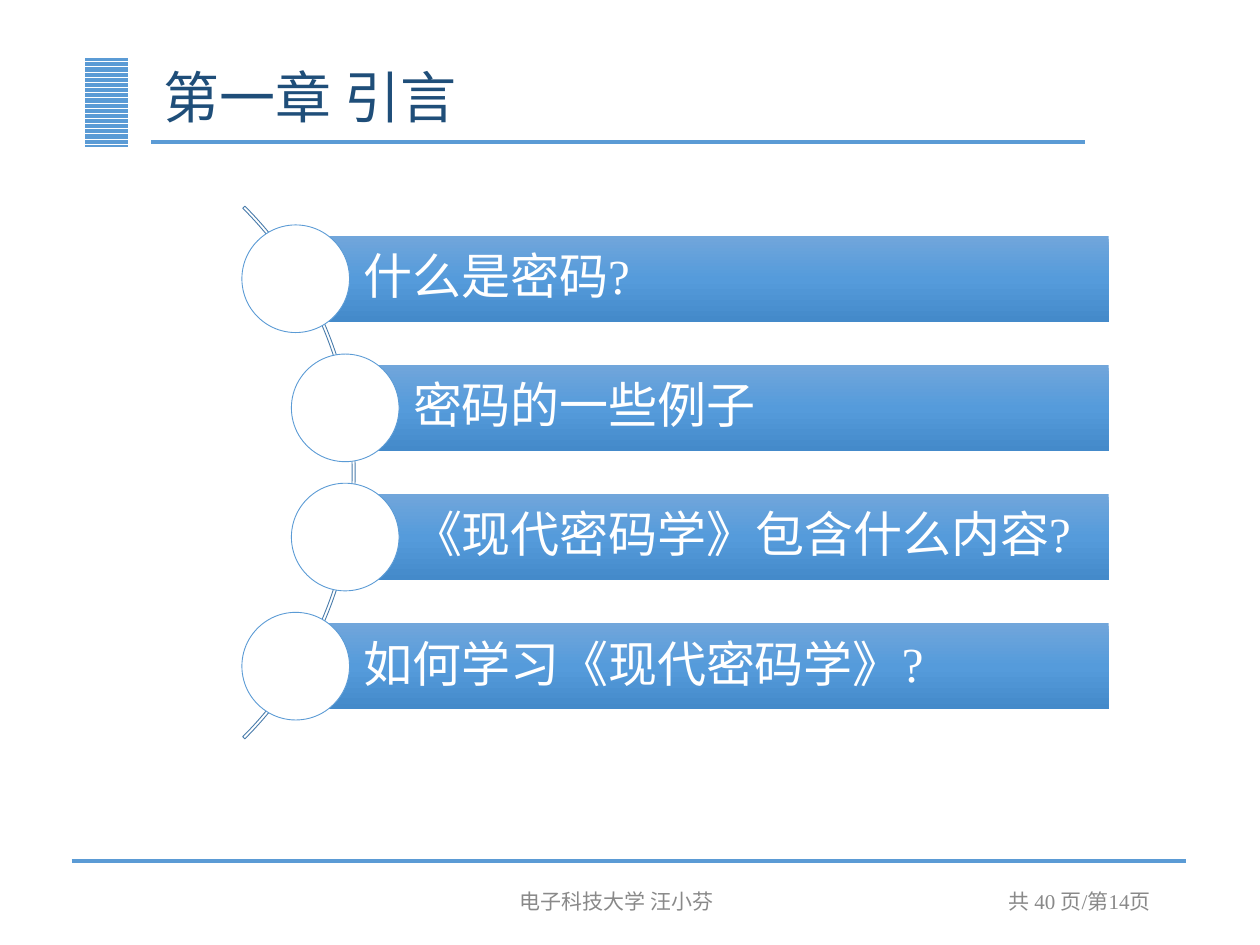
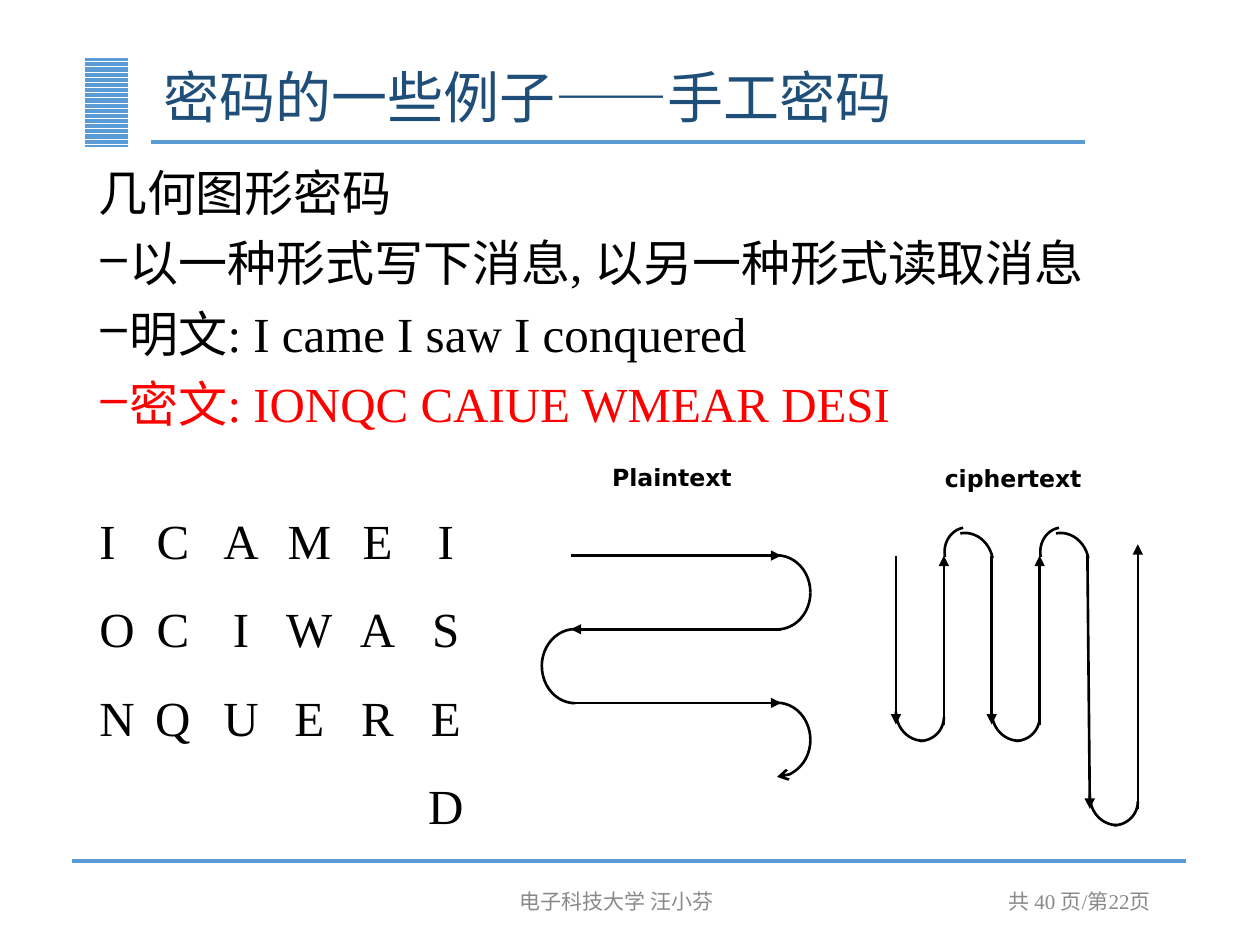
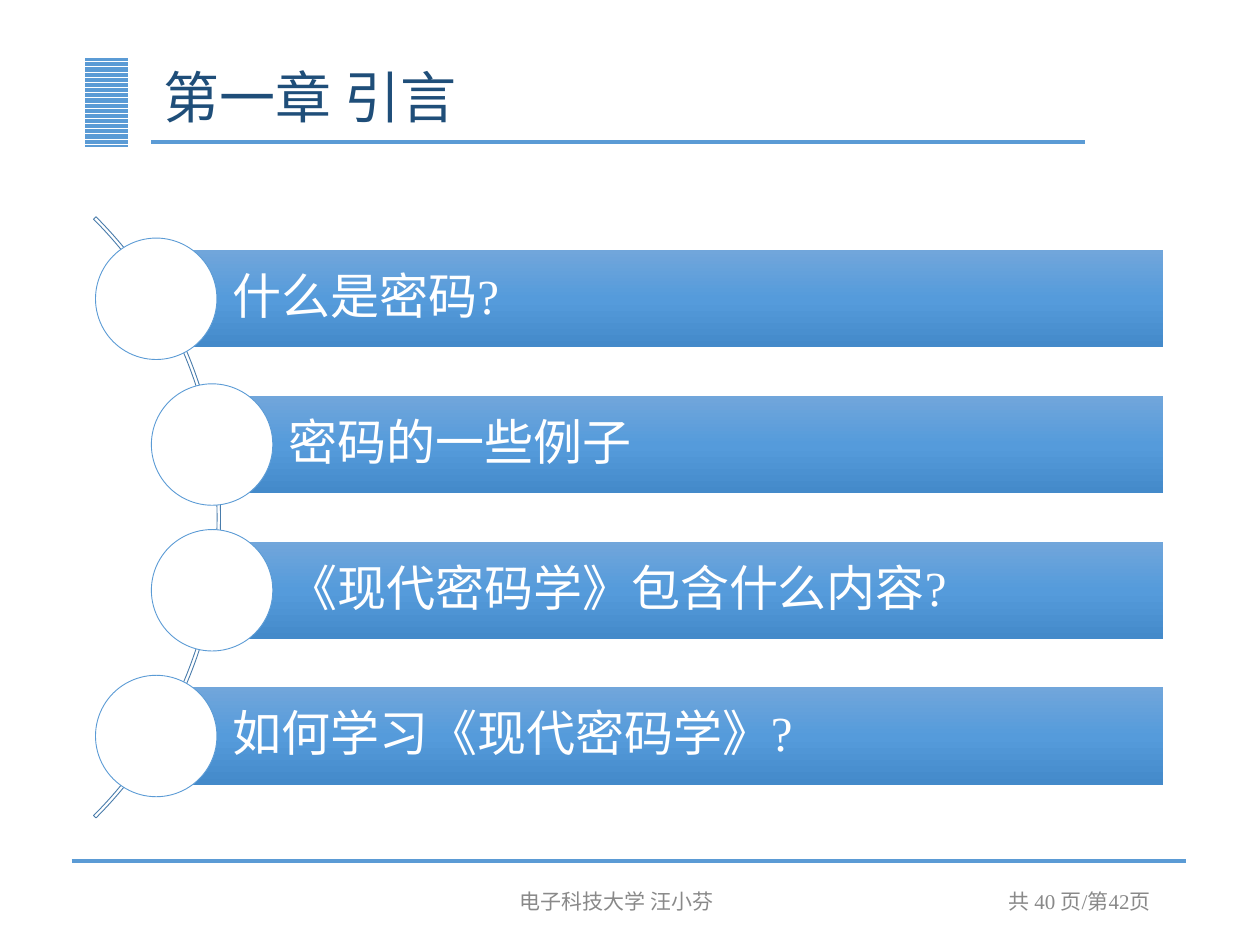
from copy import deepcopy

from lxml.etree import SubElement
from pptx import Presentation
from pptx.dml.color import RGBColor
from pptx.enum.dml import MSO_PATTERN
from pptx.enum.shapes import MSO_CONNECTOR, MSO_SHAPE
from pptx.enum.text import MSO_ANCHOR, PP_ALIGN
from pptx.oxml.ns import qn
from pptx.util import Pt

BLUE = RGBColor(0x5B, 0x9B, 0xD5)
NAVY = RGBColor(0x1F, 0x4E, 0x79)
ARC_BLUE = RGBColor(0x49, 0x7C, 0xAB)
BAR_STOPS = [
    (0, RGBColor(0x71, 0xA6, 0xDB)),
    (0.5, RGBColor(0x55, 0x9B, 0xDB)),
    (1, RGBColor(0x44, 0x8A, 0xCA)),
]
GRAY = RGBColor(0x89, 0x89, 0x89)
RED = RGBColor(0xFF, 0x00, 0x00)
BLACK = RGBColor(0x00, 0x00, 0x00)
WHITE = RGBColor(0xFF, 0xFF, 0xFF)

SERIF = "Times New Roman"
CHINESE = "Noto Sans CJK SC"
LABEL = "DejaVu Sans"

TOPICS = ["什么是密码?", "密码的一些例子", "《现代密码学》包含什么内容?", "如何学习《现代密码学》?"]
INDENTED_TOPICS = (1, 2)
LETTER_ROWS = ["ICAMEI", "OCIWAS", "NQUERE", "\t\t\t\t\tD"]


def style(para, size, color=BLACK, name=SERIF, bold=False):
    """Set the Latin and Chinese fonts of a paragraph."""
    font = para.font
    font.size, font.bold, font.name = Pt(size), bold, name
    font.color.rgb = color
    properties = para._p.get_or_add_pPr().find(qn("a:defRPr"))
    SubElement(properties, qn("a:ea"), typeface=CHINESE)


def add_bullet(para):
    """Give a paragraph a dash with a hanging indent."""
    properties = para._p.get_or_add_pPr()
    properties.set("marL", str(Pt(18)))
    properties.set("indent", str(-Pt(18)))
    SubElement(properties, qn("a:buChar"), char="‒")


def add_tabs(para, positions):
    """Give a paragraph centred tab stops."""
    stops = SubElement(para._p.get_or_add_pPr(), qn("a:tabLst"))
    for position in positions:
        SubElement(stops, qn("a:tab"), pos=str(Pt(position)), algn="ctr")


def add_box(page, left, top, width, height, anchor=MSO_ANCHOR.TOP):
    """Add a wrapping text box and return its text frame."""
    frame = page.shapes.add_textbox(Pt(left), Pt(top), Pt(width), Pt(height)).text_frame
    frame.word_wrap = True
    frame.vertical_anchor = anchor
    return frame


def add_paragraphs(frame, texts):
    """Fill a text frame and return its paragraphs."""
    frame.text = "\n".join(texts)
    return frame.paragraphs


def add_label(page, text, left, top, width, height, size, color=BLACK,
              name=SERIF, align=PP_ALIGN.LEFT, bold=False):
    """Add one line of text, centred vertically."""
    para = add_box(page, left, top, width, height, MSO_ANCHOR.MIDDLE).paragraphs[0]
    para.text = text
    para.alignment = align
    style(para, size, color, name, bold)


def add_shape(page, kind, left, top, width, height, line=None, weight=0.5):
    """Add an unfilled preset shape without shadow."""
    shape = page.shapes.add_shape(kind, Pt(left), Pt(top), Pt(width), Pt(height))
    shape.shadow.inherit = False
    shape.fill.background()
    if line is None:
        shape.line.fill.background()
    else:
        shape.line.color.rgb = line
        shape.line.width = Pt(weight)
    return shape


def add_head(shape, kind):
    """Put an arrowhead at the end of a line."""
    SubElement(shape.line._get_or_add_ln(), qn("a:tailEnd"), type=kind)


def add_line(page, start, end, color=BLACK, weight=1.5, head=None):
    """Draw a straight line, with an arrowhead if one is named."""
    line = page.shapes.add_connector(
        MSO_CONNECTOR.STRAIGHT, *(Pt(value) for value in (*start, *end)))
    line.line.color.rgb = color
    line.line.width = Pt(weight)
    SubElement(line._element.spPr, qn("a:effectLst"))
    if head:
        add_head(line, head)


def add_arc(page, x, y, width, height, rotation, head=None):
    """Draw a quarter arc around a centre."""
    arc = add_shape(page, MSO_SHAPE.ARC, x - width / 2, y - height / 2,
                    width, height, BLACK, 1.5)
    arc.rotation = rotation
    if head:
        add_head(arc, head)


def add_page(deck, title, number, title_font=CHINESE):
    """Add a slide with its title, rules and footer."""
    page = deck.slides.add_slide(deck.slide_layouts[6])
    stripes = add_shape(page, MSO_SHAPE.RECTANGLE, 48.8, 32.5, 24.4, 51.5)
    stripes.fill.patterned()
    stripes.fill.pattern = MSO_PATTERN.DARK_HORIZONTAL
    stripes.fill.fore_color.rgb = BLUE
    stripes.fill.back_color.rgb = WHITE
    add_line(page, (86.4, 81.2), (620, 81.2), BLUE, 2.25)
    add_line(page, (41, 492.2), (677.5, 492.2), BLUE, 2.25)
    add_label(page, title, 86.4, 28.8, 533.5, 52.5, 32, NAVY, title_font)
    add_label(page, f"共 40 页/第{number}页", 502.5, 500.5, 162, 28.8, 12, GRAY,
              align=PP_ALIGN.RIGHT)
    add_label(page, "电子科技大学 汪小芬", 213, 500.5, 278.5, 28.8, 12, GRAY,
              align=PP_ALIGN.CENTER)
    return page


def fill_gradient(shape, stops):
    """Fill a shape with a gradient that runs downwards."""
    shape.fill.gradient()
    shape.fill.gradient_angle = 270
    stop_list = shape._element.spPr.find(".//" + qn("a:gsLst"))
    while len(stop_list) < len(stops):
        stop_list.append(deepcopy(stop_list[0]))
    for stop, (position, color) in zip(shape.fill.gradient_stops, stops):
        stop.position = position
        stop.color.rgb = color


def add_topic(page, text, left, top, right, diameter):
    """Draw a topic bar with a circle on its left end."""
    height = 0.8 * diameter
    bar = add_shape(page, MSO_SHAPE.RECTANGLE, left, top, right - left, height)
    fill_gradient(bar, BAR_STOPS)
    frame = bar.text_frame
    frame.word_wrap = True
    frame.vertical_anchor = MSO_ANCHOR.MIDDLE
    frame.margin_left = Pt(0.63 * diameter)
    frame.margin_top = frame.margin_right = frame.margin_bottom = Pt(5.6)
    para = frame.paragraphs[0]
    para.text = text
    para.alignment = PP_ALIGN.LEFT
    para.line_spacing = 0.9
    style(para, 28, WHITE)
    circle = add_shape(page, MSO_SHAPE.OVAL, left - diameter / 2, top - diameter / 10,
                       diameter, diameter, BLUE)
    circle.fill.solid()
    circle.fill.fore_color.rgb = WHITE


def add_outline(page, left, top, right, diameter, arc_right):
    """Draw the chapter topics along a thin arc."""
    pitch = 1.2 * diameter
    middle = top + ((len(TOPICS) - 1) * pitch + 0.8 * diameter) / 2
    size = 7 * diameter
    arc = add_shape(page, MSO_SHAPE.BLOCK_ARC, arc_right - size, middle - size / 2,
                    size, size, ARC_BLUE)
    for index, value in enumerate((189, 27, 0.004)):
        arc.adjustments[index] = value
    for index, text in enumerate(TOPICS):
        shift = 0.46 * diameter if index in INDENTED_TOPICS else 0
        add_topic(page, text, left + shift, top + index * pitch, right, diameter)


def add_explanation(page):
    """Write the description of the geometric cipher."""
    paras = add_paragraphs(add_box(page, 49, 92.9, 620.6, 383), [
        "几何图形密码",
        "以一种形式写下消息, 以另一种形式读取消息",
        "明文: I came I saw I conquered",
        "密文: IONQC CAIUE WMEAR DESI",
    ])
    for index, para in enumerate(paras):
        para.line_spacing = 0.9
        if index:
            para.space_before = Pt(10)
            add_bullet(para)
        style(para, 28, RED if index == 3 else BLACK)


def add_letters(page):
    """Write the message in a grid of letters."""
    rows = [row if "\t" in row else "\t".join(row) for row in LETTER_ROWS]
    for para in add_paragraphs(add_box(page, 49.7, 271.4, 237.6, 204.5), rows):
        para.line_spacing = 1.5
        add_tabs(para, [42 + 39 * column for column in range(5)])
        style(para, 28)


def add_plaintext_route(page):
    """Draw the row by row path of the plaintext."""
    add_label(page, "Plaintext", 342.7, 260.6, 144.7, 23.8, 13.5, name=LABEL, bold=True)
    left, right, top, pitch = 326.2, 446.4, 317.5, 42.1
    for row in range(3):
        y = top + row * pitch
        forward = row % 2 == 0
        ends = [(left, y), (right, y)]
        start, end = ends if forward else reversed(ends)
        add_line(page, start, end, head="triangle")
        x, rotation = (444, 0) if forward else (328.7, 180)
        add_arc(page, x, y + pitch / 2, 38.2, 42.4, rotation)
        add_arc(page, x, y + pitch / 2, 42.4, 38.2, rotation + 90,
                "arrow" if row == 2 else None)


def add_ciphertext_route(page):
    """Draw the column by column path of the ciphertext."""
    add_label(page, "ciphertext", 532.8, 261.4, 144.7, 23.8, 13.5, name=LABEL, bold=True)
    top, short, long = 317.5, 414, 462.2
    columns = [
        (512, 512, 539.4, top, short),
        (566.7, 566.7, 594.1, top, short),
        (621.4, 622.8, 650.2, 311, long),
    ]
    for start, down, up, peak, bottom in columns:
        add_line(page, (start, top), (down, bottom), head="triangle")
        add_line(page, (up, bottom), (up, peak), head="triangle")
        add_arc(page, down + 15.4, bottom - 7.6, 31, 33.8, 180)
        add_arc(page, down + 13.7, bottom - 4.3, 27.4, 27.4, 90)
        if bottom == short:
            add_arc(page, up + 12.6, top + 4.3, 31, 34.6, 349.2)
            add_arc(page, up + 13.7, top - 1.8, 28.8, 26.6, 259.2)


def main():
    """Build the three slides and save the deck."""
    deck = Presentation()
    deck.slide_width, deck.slide_height = Pt(720), Pt(540)

    page = add_page(deck, "第一章 引言", 14, SERIF)
    add_outline(page, 169, 134.7, 633.5, 61.5, 203)

    page = add_page(deck, "密码的一些例子——手工密码", 22)
    add_explanation(page)
    add_letters(page)
    add_plaintext_route(page)
    add_ciphertext_route(page)

    page = add_page(deck, "第一章 引言", 42)
    add_outline(page, 89.3, 143, 664.6, 69.4, 126)

    deck.save("out.pptx")


if __name__ == "__main__":
    main()
